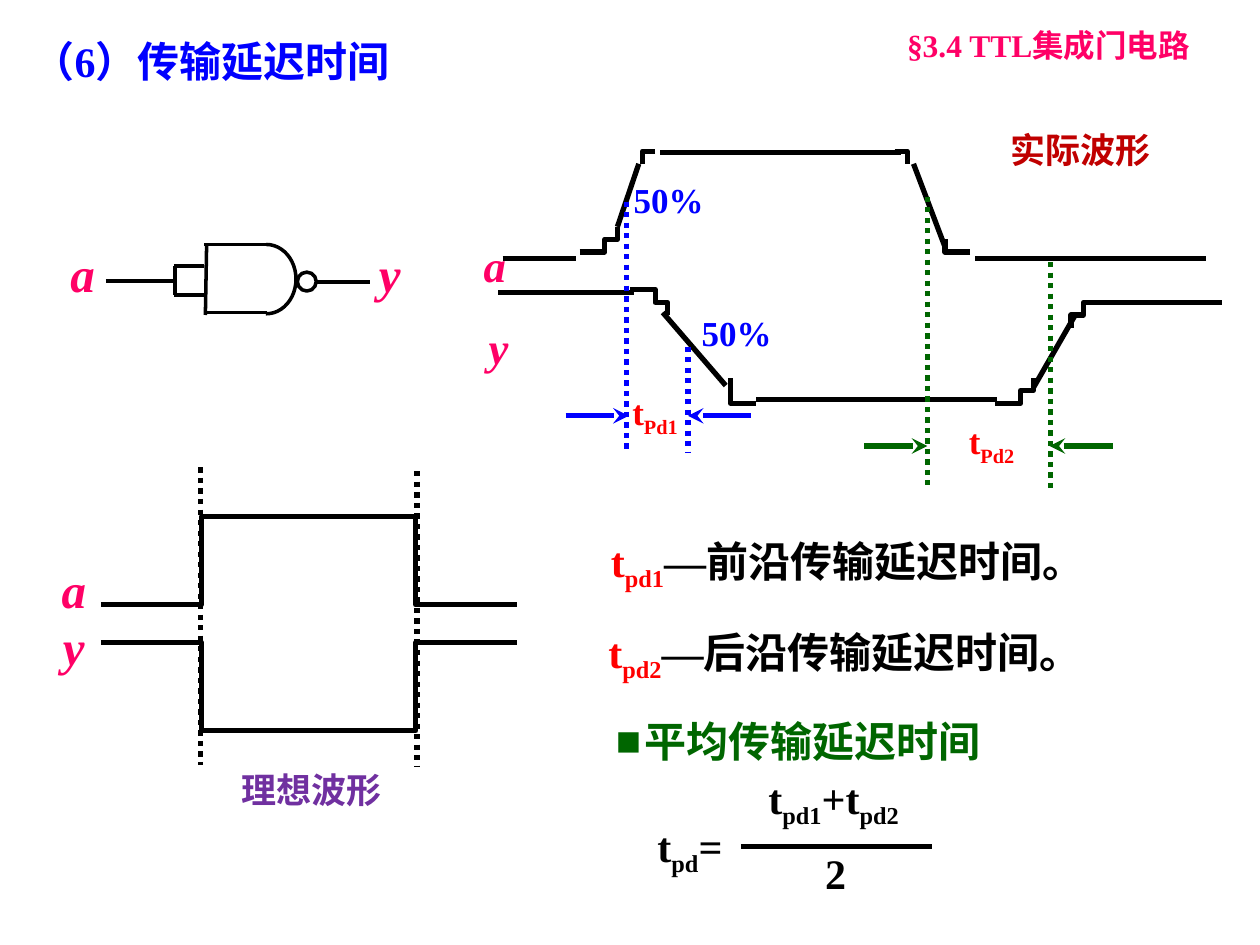
import math
from lxml import etree
from pptx import Presentation
from pptx import util as u
from pptx.dml.color import RGBColor
from pptx.enum import dml, shapes
from pptx.oxml.ns import qn

C = {"ink": "000000", "blue": "0000FF", "green": "006600", "pink": "FF0066",
     "red": "FF0000", "crimson": "C00000", "purple": "7030A0"}
FONT = "Times New Roman"

prs = Presentation()
prs.slide_width, prs.slide_height = u.Inches(10), u.Inches(7.5)
s = prs.slides.add_slide(prs.slide_layouts[6])
G = prs.slide_width // 100  # grid of 100 columns by 75 rows


def line(x1, y1, x2, y2, color="ink", width=3, dotted=False, arrow=False):
    cn = s.shapes.add_connector(shapes.MSO_CONNECTOR.STRAIGHT,
                                *[round(v * G) for v in (x1, y1, x2, y2)])
    cn.line.color.rgb = RGBColor.from_string(C[color])
    cn.line.width = u.Pt(width)
    if dotted:
        cn.line.dash_style = dml.MSO_LINE.ROUND_DOT
    sp_pr = cn._element.spPr
    if arrow:
        etree.SubElement(sp_pr.find(qn("a:ln")), qn("a:tailEnd"), type="stealth")
    etree.SubElement(sp_pr, qn("a:effectLst"))


def label(x, y, w, h, size, runs, italic=False, wrap=True):
    """Text box; each run is (text, colour, is_subscript)."""
    sp = s.shapes.add_textbox(*[round(v * G) for v in (x, y, w, h)])
    tf = sp.text_frame
    tf.word_wrap = wrap
    p = tf.paragraphs[0]
    for words, color, sub in runs:
        r = p.add_run()
        r.text = words
        r.font.name, r.font.size = FONT, u.Pt(size)
        r.font.bold, r.font.italic = True, italic
        r.font.color.rgb = RGBColor.from_string(C[color])
        if sub:
            r._r.get_or_add_rPr().set("baseline", "-25000")
    return p


# Headings and captions
label(1.6, 2.3, 31.8, 5.5, 24, [("（6）传输延迟时间", "blue", False)])
label(71, 1.6, 26.8, 4, 18, [("§3.4 TTL集成门电路", "pink", False)], wrap=False)
label(18.2, 60.5, 20, 4.4, 20, [("理想波形", "purple", False)])
label(79.2, 9.7, 14.5, 4.4, 20, [("实际波形", "crimson", False)])

# NAND gate with tied inputs
for ends in [(25.2, 22.4, 29.4, 22.4), (8.4, 22.3, 14, 22.3),
             (16.2, 19.4, 21.2, 19.4), (16.2, 24.8, 21.2, 24.8),
             (16.4, 19.5, 16.3, 25), (13.8, 21.1, 16.2, 21.1),
             (13.8, 23.4, 16.2, 23.4), (13.9, 21.1, 13.9, 23.4)]:
    line(*ends, width=2)
for kind, box in [(shapes.MSO_SHAPE.OVAL, (23.6, 21.6, 1.5, 1.5)),
                  (shapes.MSO_SHAPE.ARC, (18.8, 19.4, 4.7, 5.5))]:
    sp = s.shapes.add_shape(kind, *[round(v * G) for v in box])
    sp.shadow.inherit = False
    sp.fill.background()
    sp.line.color.rgb = RGBColor.from_string(C["ink"])
    sp.line.width = u.Pt(2)
    if kind == shapes.MSO_SHAPE.ARC:
        sp.adjustments[0], sp.adjustments[1] = 162, 54.39

# Signal names
for x, y, name in [(4.6, 18.8, "a"), (29.1, 18.8, "y"),
                   (3.9, 43.9, "a"), (4, 48.4, "y")]:
    label(x, y, 7, 5.7, 28, [(name, "pink", False)], italic=True)
for x, y, name in [(37.4, 14.3, "a"), (37.8, 20.8, "y")]:
    label(x, y, 4, 6, 44, [(name, "pink", True)], italic=True, wrap=False)

# Real waveforms: straight parts of a, then of y
for ends in [(39.9, 20.5, 45.7, 20.5), (49, 18, 50.7, 13), (52.4, 12.1, 71.5, 12.1),
             (72.5, 13, 75, 19.6), (77.4, 20.5, 95.7, 20.5),
             (50.3, 23.2, 39.5, 23.2), (52.6, 24.8, 57.6, 30.6), (60, 31.7, 79.1, 31.7),
             (85.4, 24.9, 82, 30.8), (87, 24, 97, 24)]:
    line(*ends)

# Rounded corners: quarter ellipses from a level end to a steep end
STEPS = 16
corners = [(45.7, 20.5, 49, 18), (52.4, 12.1, 50.7, 13), (70.8, 12.1, 72.4, 13),
           (77.3, 20.5, 74.8, 18.8), (50.3, 23.2, 52.7, 24.9), (59.9, 31.8, 57.5, 30.5),
           (79, 31.7, 82.4, 30.1), (87, 24.1, 85.3, 25.7)]
outlines = []
for x0, y0, x1, y1 in corners:
    angles = [math.pi / 2 * i / STEPS for i in range(STEPS + 1)]
    outlines.append([(x0 + (x1 - x0) * math.sin(t), y1 + (y0 - y1) * math.cos(t))
                     for t in angles])

# Ideal waveforms: one pulse up, one pulse down
RISE, FALL = 15.9, 33.1
for rest, pulse in [(47.6, 41), (51, 57.6)]:
    outlines.append([(8, rest), (RISE, rest), (RISE, pulse), (FALL, pulse),
                     (FALL, rest), (41.4, rest)])

for pts in outlines:
    fb = s.shapes.build_freeform(*pts[0], scale=G)
    fb.add_line_segments(pts[1:], close=False)
    sp = fb.convert_to_shape()
    sp.shadow.inherit = False
    sp.fill.background()
    sp.line.color.rgb = RGBColor.from_string(C["ink"])
    sp.line.width = u.Pt(3)

# Dotted time marks
for x, top, bottom, color in [(RISE, 37.1, 60.7, "ink"), (FALL, 37.4, 60.9, "ink"),
                              (49.7, 16, 35.9, "blue"), (54.6, 27.5, 35.9, "blue"),
                              (73.6, 15.6, 38.5, "green"), (83.4, 20.8, 39.1, "green")]:
    line(x, top, x, bottom, color, dotted=True)

# Delay arrows, pointing inwards
for x1, x2, y, color in [(44.9, 49.9, 33, "blue"), (59.6, 54.6, 33, "blue"),
                         (68.6, 73.6, 35.4, "green"), (88.3, 83.3, 35.4, "green")]:
    line(x1, y, x2, y, color, arrow=True)

# Delay and 50% labels
for x, y, w, sub in [(49.2, 30.5, 6.6, "Pd1"), (75.9, 32.8, 6.1, "Pd2")]:
    label(x, y, w, 4.4, 20, [("t", "red", False), (sub, "red", True)])
for x, y in [(49.3, 13.7), (54.7, 24.2)]:
    label(x, y, 11.7, 4.4, 20, [("50%", "blue", False)])

# Definitions
for x, y, sub, meaning in [(47.5, 42, "pd1", "—前沿传输延迟时间。"),
                           (47.3, 49.2, "pd2", "—后沿传输延迟时间。")]:
    label(x, y, 44.1, 5.1, 24, [("t", "red", False), (sub, "red", True),
                                (meaning, "ink", False)])

# Average delay: bulleted heading and fraction
p = label(47.9, 56.3, 31.8, 5, 24, [("平均传输延迟时间", "green", False)])
p_pr = p._p.get_or_add_pPr()
p_pr.set("marL", str(round(2.3 * G)))
p_pr.set("indent", str(round(-2.3 * G)))
etree.SubElement(p_pr, qn("a:buFont"), typeface="Arial")
etree.SubElement(p_pr, qn("a:buChar"), char="■")

label(51.2, 64.6, 10.6, 5.1, 24, [("t", "ink", False), ("pd", "ink", True),
                                  ("=", "ink", False)])
label(60, 60.8, 16.6, 5.1, 24, [("t", "ink", False), ("pd1", "ink", True),
                                ("+t", "ink", False), ("pd2", "ink", True)])
line(58.8, 67.2, 74, 67.2)
label(64.5, 66.8, 6.6, 5.1, 24, [("2", "ink", False)])

prs.save("out.pptx")
